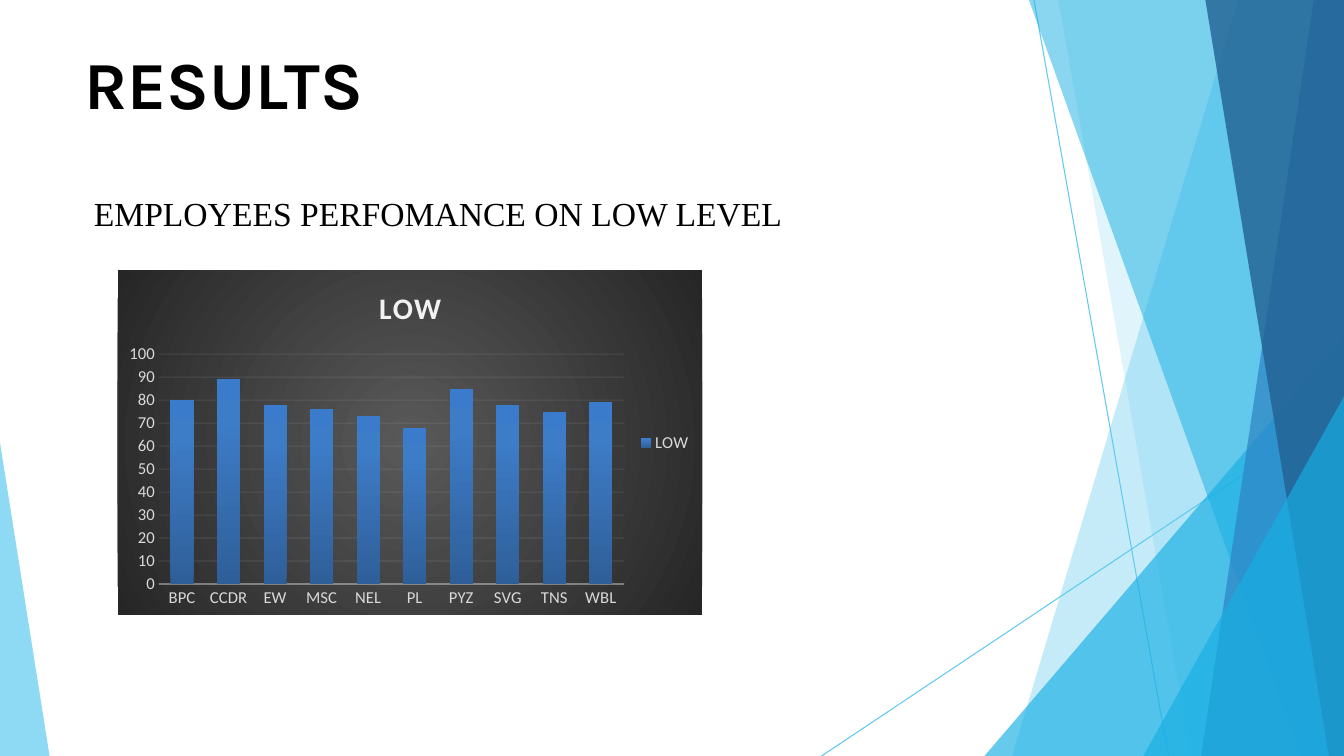
from dataclasses import dataclass
from lxml import etree
from pptx import Presentation
from pptx.chart.data import CategoryChartData as Data
from pptx.dml.color import RGBColor as Color
from pptx.enum.chart import XL_CHART_TYPE as Kind, XL_LEGEND_POSITION as Side, XL_TICK_MARK as Tick
from pptx.enum.shapes import MSO_CONNECTOR as Link
from pptx.oxml import parse_xml
from pptx.oxml.ns import qn
from pptx.util import Emu, Inches, Pt

COLS, ROWS = 160, 90
CELL = Inches(1) // 12


@dataclass(frozen=True)
class Theme:
    ink: str = "000000"
    sky: str = "5FCAEE"
    cyan: str = "17AFE3"
    blue: str = "2D83C3"
    navy: str = "226192"
    pale: str = "F2F2F2"
    grey: str = "D9D9D9"
    head: str = "Karla"
    body: str = "Times New Roman"
    plot: str = "Calibri"
    big: float = 48
    mid: float = 24
    name: float = 21.3
    tiny: float = 11.9
    back: tuple = ((0, "595959"), (100, "262626"))
    bars: tuple = ((0, "2F5F99"), (80, "3D7CC7"), (100, "3A7CCB"))


LOOK = Theme()
LOW = dict(BPC=80, CCDR=89, EW=78, MSC=76, NEL=73, PL=68, PYZ=85, SVG=78, TNS=75, WBL=79)


def grid(*cells):
    return [Emu(round(c * CELL)) for c in cells]


def fade(node, share):
    for tint in node.iter(qn("a:srgbClr")):
        etree.SubElement(tint, qn("a:alpha")).set("val", str(share * 1000))


def ramp(stops, way):
    parts = "".join(
        f'<a:gs pos="{at * 1000}"><a:srgbClr val="{tint}"/></a:gs>' for at, tint in stops)
    return parse_xml(
        '<a:gradFill xmlns:a="http://schemas.openxmlformats.org/drawingml/2006/main">'
        f"<a:gsLst>{parts}</a:gsLst>{way}</a:gradFill>")


def style(font, face, size, tint, bold=False):
    font.name, font.size, font.bold = face, Pt(size), bold
    font.color.rgb = Color.from_string(tint)


def stroke(line, tint, width, share=100):
    line.color.rgb = Color.from_string(tint)
    line.width = Pt(width)
    if share < 100:
        fade(line.fill._xPr, share)


def facet(slide, box, spots, tint, share):
    left, top, wide, high = box
    ends = [tuple(grid(left + x * wide, top + y * high)) for x, y in spots]
    pen = slide.shapes.build_freeform(*ends[0])
    pen.add_line_segments(ends[1:], close=True)
    shape = pen.convert_to_shape()
    shape.shadow.inherit = False
    shape.fill.solid()
    shape.fill.fore_color.rgb = Color.from_string(tint)
    fade(shape.fill._xPr, share)
    shape.line.fill.background()


def ray(slide, start, end):
    line = slide.shapes.add_connector(Link.STRAIGHT, *grid(*start, *end))
    stroke(line.line, LOOK.sky, 0.75)
    etree.SubElement(line._element.spPr, qn("a:effectLst"))


def decor(slide, box):
    left, top, wide, high = box
    right, base = left + wide, top + high
    ray(slide, (left + 123.1, top), (left + 139.1, base))
    ray(slide, (right, top + 48.5), (left + 97.8, base))
    bands = [
        (147.4, 120.5, 0, LOOK.sky, 36),
        (126, 141.8, 0, LOOK.sky, 20),
        (160, 117.2, 40, LOOK.cyan, 66),
        (122.5, 154.9, 0, LOOK.cyan, 50),
        (156.4, 143, 0, LOOK.blue, 70),
        (143.5, 158.2, 0, LOOK.navy, 80),
        (160, 136.1, 47.2, LOOK.cyan, 66),
    ]
    for high_x, low_x, rise, tint, share in bands:
        y = rise / ROWS
        spots = [(1, y), (high_x / COLS, y), (low_x / COLS, 1), (1, 1)]
        facet(slide, box, spots, tint, share)
    facet(slide, (left, top + 52.7, 5.9, 37.3), [(0, 0), (0, 1), (1, 1)], LOOK.sky, 70)


def label(slide, box, text, face, size, bold=False, pad=0, gap=0):
    frame = slide.shapes.add_textbox(*grid(*box)).text_frame
    frame.word_wrap = True
    frame.margin_left = frame.margin_right = grid(pad)[0]
    frame.margin_top = frame.margin_bottom = grid(pad / 2)[0]
    run = frame.paragraphs[0].add_run()
    run.text = text
    style(run.font, face, size, LOOK.ink, bold)
    if gap:
        run.font._element.set("spc", str(gap))


def graph(slide, box):
    data = Data()
    data.categories = list(LOW)
    data.add_series("LOW", list(LOW.values()))
    chart = slide.shapes.add_chart(Kind.COLUMN_CLUSTERED, *grid(*box), data).chart
    style(chart.font, LOOK.plot, 10, LOOK.ink)

    chart.has_title = True
    run = chart.chart_title.text_frame.paragraphs[0].add_run()
    run.text = "LOW"
    style(run.font, LOOK.plot, LOOK.name, LOOK.pale, True)
    run.font._element.set("spc", "100")

    chart.has_legend = True
    chart.legend.position = Side.RIGHT
    chart.legend.include_in_layout = False
    style(chart.legend.font, LOOK.plot, LOOK.tiny, LOOK.grey)

    cat, val = chart.category_axis, chart.value_axis
    for axis in (cat, val):
        axis.major_tick_mark = axis.minor_tick_mark = Tick.NONE
        style(axis.tick_labels.font, LOOK.plot, LOOK.tiny, LOOK.grey)
    stroke(cat.format.line, LOOK.pale, 1, 54)
    val.format.line.fill.background()
    val.minimum_scale, val.maximum_scale, val.major_unit = 0, 100, 10
    stroke(val.major_gridlines.format.line, LOOK.pale, 0.75, 10)

    plot = chart.plots[0]
    plot.gap_width, plot.overlap, plot.vary_by_categories = 100, -24, False
    bars = plot.series[0]._element.get_or_add_spPr()
    bars.append(ramp(LOOK.bars, '<a:lin ang="16200000" scaled="0"/>'))

    back = parse_xml(
        '<c:spPr xmlns:c="http://schemas.openxmlformats.org/drawingml/2006/chart"/>')
    mid = '<a:fillToRect l="50000" t="50000" r="50000" b="50000"/>'
    back.append(ramp(LOOK.back, f'<a:path path="circle">{mid}</a:path>'))
    edge = etree.SubElement(back, qn("a:ln"))
    etree.SubElement(edge, qn("a:noFill"))
    chart._chartSpace.find(qn("c:chart")).addnext(back)


def build(slide, box):
    left, top = box[:2]
    decor(slide, box)
    label(slide, (left + 10, top + 5, 140, 19.4), "RESULTS", LOOK.head, LOOK.big, True)
    label(slide, (left + 10, top + 22.4, 85.2, 14.5), "EMPLOYEES PERFOMANCE ON LOW LEVEL",
          LOOK.body, LOOK.mid, pad=1.2)
    graph(slide, (left + 14, top + 32.2, 69.6, 41))


def main():
    deck = Presentation()
    deck.slide_width, deck.slide_height = grid(COLS, ROWS)
    build(deck.slides.add_slide(deck.slide_layouts[6]), (0, 0, COLS, ROWS))
    deck.save("out.pptx")


if __name__ == "__main__":
    main()
